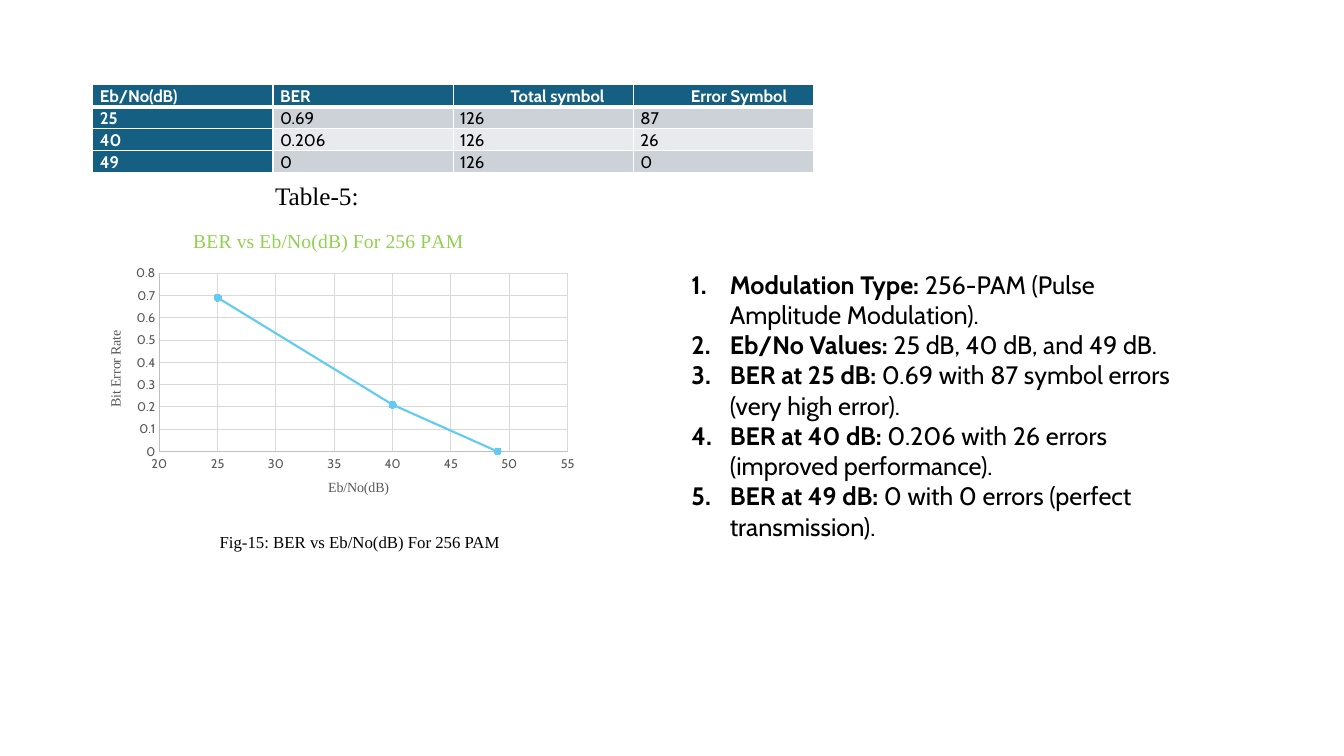
from lxml import etree
from pptx import Presentation
from pptx.chart.data import XyChartData
from pptx.dml.color import RGBColor
from pptx.enum.chart import XL_CHART_TYPE, XL_MARKER_STYLE, XL_TICK_MARK
from pptx.enum.text import MSO_ANCHOR, PP_ALIGN
from pptx.oxml import parse_xml
from pptx.oxml.ns import nsdecls, qn
from pptx.util import Inches, Pt

SCATTER = XL_CHART_TYPE.XY_SCATTER_LINES
CIRCLE = XL_MARKER_STYLE.CIRCLE
NO_TICK = XL_TICK_MARK.NONE
TOP, MIDDLE = MSO_ANCHOR.TOP, MSO_ANCHOR.MIDDLE
LEFT, JUSTIFY = PP_ALIGN.LEFT, PP_ALIGN.JUSTIFY
SANS, SERIF = "Cabin", "Times New Roman"
WHITE, BLACK, GREY = "FFFFFF", "000000", "595959"
TEAL, SKY, GREEN = "156082", "61CBF4", "92D050"
BANDS = ("CCD2D8", "E8EAED")

HEADERS = ("Eb/No(dB)", "BER", "Total symbol", "Error Symbol")
RESULTS = ((25, 0.69, 126, 87), (40, 0.206, 126, 26), (49, 0, 126, 0))
FINDINGS = (
    ("Modulation Type:", " 256-PAM (Pulse Amplitude Modulation)."),
    ("Eb/No Values:", " 25 dB, 40 dB, and 49 dB."),
    ("BER at 25 dB:", " 0.69 with 87 symbol errors (very high error)."),
    ("BER at 40 dB:", " 0.206 with 26 errors (improved performance)."),
    ("BER at 49 dB:", " 0 with 0 errors (perfect transmission)."),
)


def color(value):
    """Turn a hex string into a colour."""
    return RGBColor.from_string(value)


def add_run(paragraph, text, size=18, font=SANS, fill=BLACK, bold=False):
    """Add one formatted run to a paragraph."""
    run = paragraph.add_run()
    run.text = text
    run.font.size = Pt(size)
    run.font.name = font
    run.font.bold = bold
    run.font.color.rgb = color(fill)


def indent(paragraph, margin, first_line):
    """Set the left margin and first-line indent of a paragraph."""
    properties = paragraph._p.get_or_add_pPr()
    properties.set("marL", str(Inches(margin)))
    properties.set("indent", str(Inches(first_line)))
    return properties


def add_text_box(slide, left, top, width, height, anchor=TOP):
    """Add an empty wrapping text box and return its text frame."""
    shape = slide.shapes.add_textbox(
        Inches(left), Inches(top), Inches(width), Inches(height))
    shape.text_frame.word_wrap = True
    shape.text_frame.vertical_anchor = anchor
    return shape.text_frame


def add_caption(slide, box, text, size, first_line=0, anchor=TOP):
    """Add a one-line serif caption."""
    paragraph = add_text_box(slide, *box, anchor=anchor).paragraphs[0]
    paragraph.alignment = JUSTIFY
    indent(paragraph, 0, first_line)
    add_run(paragraph, text, size=size, font=SERIF)


def add_numbered_list(slide, box, items):
    """Add a numbered list whose items open with a bold label."""
    frame = add_text_box(slide, *box)
    for index, (label, detail) in enumerate(items):
        paragraph = frame.add_paragraph() if index else frame.paragraphs[0]
        paragraph.alignment = LEFT
        properties = indent(paragraph, 0.38, -0.38)
        etree.SubElement(properties, qn("a:buAutoNum"), type="arabicPeriod")
        add_run(paragraph, label, bold=True)
        add_run(paragraph, detail)


def set_borders(cell, **widths):
    """Draw white borders, given as side=points in schema order."""
    properties = cell._tc.get_or_add_tcPr()
    for position, (side, points) in enumerate(widths.items()):
        properties.insert(position, parse_xml(
            f'<a:ln{side} {nsdecls("a")} w="{Pt(points)}"><a:solidFill>'
            f'<a:srgbClr val="{WHITE}"/></a:solidFill></a:ln{side}>'))


def fill_cell(cell, text, row, column):
    """Write and format one table cell."""
    heading = row == 0 or column == 0
    cell.margin_left = cell.margin_right = Inches(0.07)
    cell.margin_top = cell.margin_bottom = 0
    cell.fill.solid()
    cell.fill.fore_color.rgb = color(TEAL if heading else BANDS[(row - 1) % 2])
    set_borders(cell, L=1, R=1, T=1, B=1 if row else 3)
    paragraph = cell.text_frame.paragraphs[0]
    paragraph.alignment = JUSTIFY
    paragraph.line_spacing = 1.07
    paragraph.space_after = Pt(8)
    if row == 0 and column > 1:
        indent(paragraph, 0, 0.5)
    add_run(paragraph, text, size=12, fill=WHITE if heading else BLACK, bold=heading)


def add_results_table(slide):
    """Add the table of error rates."""
    rows = (HEADERS, *RESULTS)
    table = slide.shapes.add_table(
        len(rows), len(HEADERS), Inches(0.92), Inches(0.84),
        Inches(7.15), Inches(0.82)).table
    for row, values in enumerate(rows):
        for column, value in enumerate(values):
            fill_cell(table.cell(row, column), str(value), row, column)


def place(element, **fractions):
    """Give a chart part a manual layout in fractions of the chart."""
    layout = element.find(qn("c:layout"))
    if layout is None:
        layout = etree.Element(qn("c:layout"))
        element.insert(1 if element.find(qn("c:tx")) is not None else 0, layout)
    manual = etree.SubElement(layout, qn("c:manualLayout"))
    if "w" in fractions:
        etree.SubElement(manual, qn("c:layoutTarget"), val="inner")
    for name in ("x", "y"):
        etree.SubElement(manual, qn(f"c:{name}Mode"), val="edge")
    for name, value in fractions.items():
        etree.SubElement(manual, qn(f"c:{name}"), val=str(value))


def set_title(title, text, size, fill, x, y):
    """Write and place a chart or axis title."""
    add_run(title.text_frame.paragraphs[0], text, size=size, font=SERIF, fill=fill)
    place(title._element, x=x, y=y)


def format_axis(axis, low, high, step, title, x, y):
    """Scale, style and name one axis."""
    axis.minimum_scale, axis.maximum_scale, axis.major_unit = low, high, step
    axis.major_tick_mark = axis.minor_tick_mark = NO_TICK
    axis.has_major_gridlines = True
    for line, shade in ((axis.format.line, "BFBFBF"),
                        (axis.major_gridlines.format.line, "D9D9D9")):
        line.color.rgb = color(shade)
        line.width = Pt(0.75)
    axis.tick_labels.number_format = "General"
    axis.tick_labels.number_format_is_linked = False
    font = axis.tick_labels.font
    font.size, font.name = Pt(9), SANS
    font.color.rgb = color(GREY)
    set_title(axis.axis_title, title, 10, GREY, x, y)


def add_error_chart(slide):
    """Add the scatter chart of bit error rate."""
    data = XyChartData()
    points = data.add_series("Series 1")
    for ratio, error_rate, *_ in RESULTS:
        points.add_data_point(ratio, round(error_rate, 2))
    chart = slide.shapes.add_chart(
        SCATTER, Inches(0.83), Inches(2.14), Inches(5), Inches(3), data).chart
    chart.has_legend = False
    chart.font.size, chart.font.name = Pt(10), SANS
    chart.font.color.rgb = color(BLACK)
    chart.has_title = True
    set_title(chart.chart_title, "BER vs Eb/No(dB) For 256 PAM", 14, GREEN, 0.21, 0.03)
    format_axis(chart.category_axis, 20, 55, 5, "Eb/No(dB)", 0.48, 0.86)
    format_axis(chart.value_axis, 0, 0.8, 0.1, "Bit Error Rate", 0.04, 0.37)
    place(chart._chartSpace.chart.plotArea, x=0.15, y=0.19, w=0.81, h=0.59)
    plot = chart.plots[0]
    plot.vary_by_categories = False
    series = plot.series[0]
    series.smooth = False
    series.format.line.color.rgb = color(SKY)
    series.format.line.width = Pt(1.5)
    series.marker.style, series.marker.size = CIRCLE, 5
    series.marker.format.fill.solid()
    series.marker.format.fill.fore_color.rgb = color(SKY)
    series.marker.format.line.color.rgb = color(SKY)


def main():
    """Build the slide and save it."""
    presentation = Presentation()
    presentation.slide_width, presentation.slide_height = Inches(13.33), Inches(7.5)
    slide = presentation.slides.add_slide(presentation.slide_layouts[6])
    add_results_table(slide)
    add_caption(slide, (2.13, 1.74, 6.67, 0.4), "Table-5:", 18, first_line=0.5)
    add_error_chart(slide)
    add_caption(slide, (2.08, 5.23, 3.15, 0.3),
                "Fig-15: BER vs Eb/No(dB) For 256 PAM", 12, anchor=MIDDLE)
    add_numbered_list(slide, (6.76, 2.62, 5.19, 3.13), FINDINGS)
    presentation.save("out.pptx")


if __name__ == "__main__":
    main()
